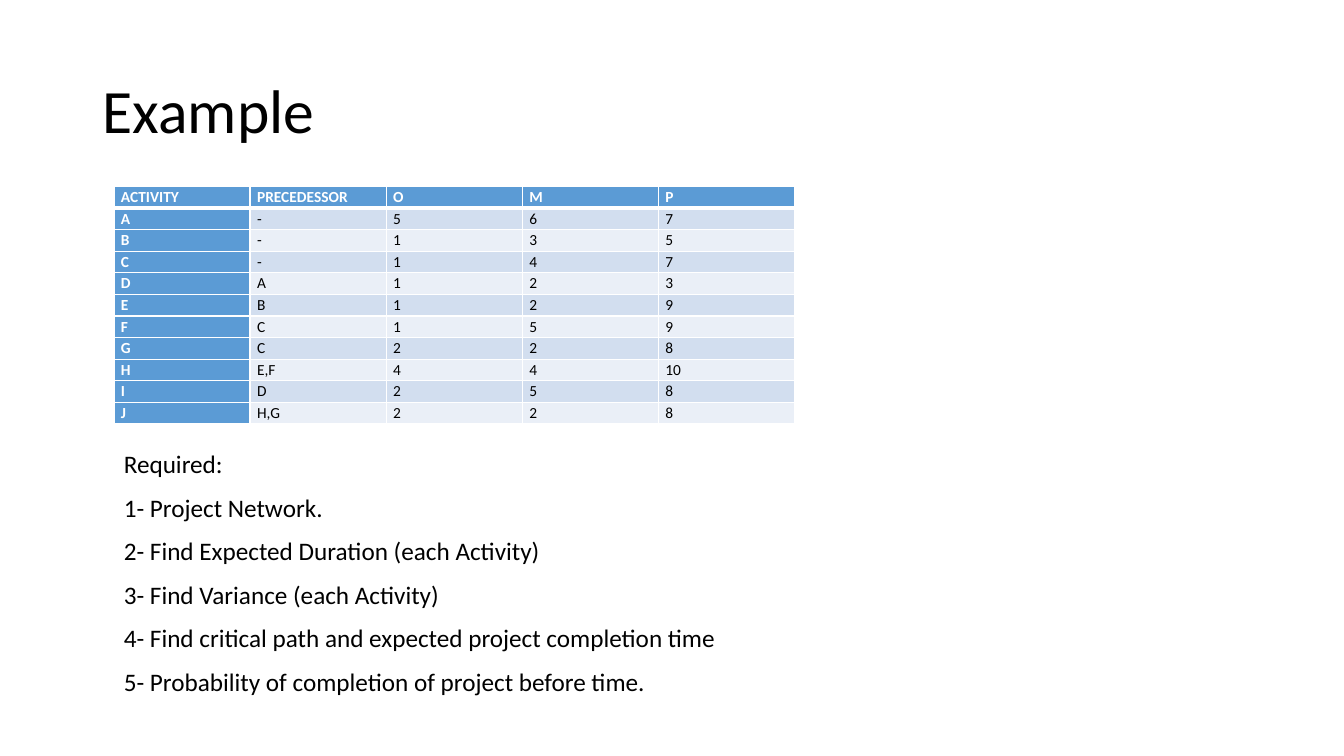
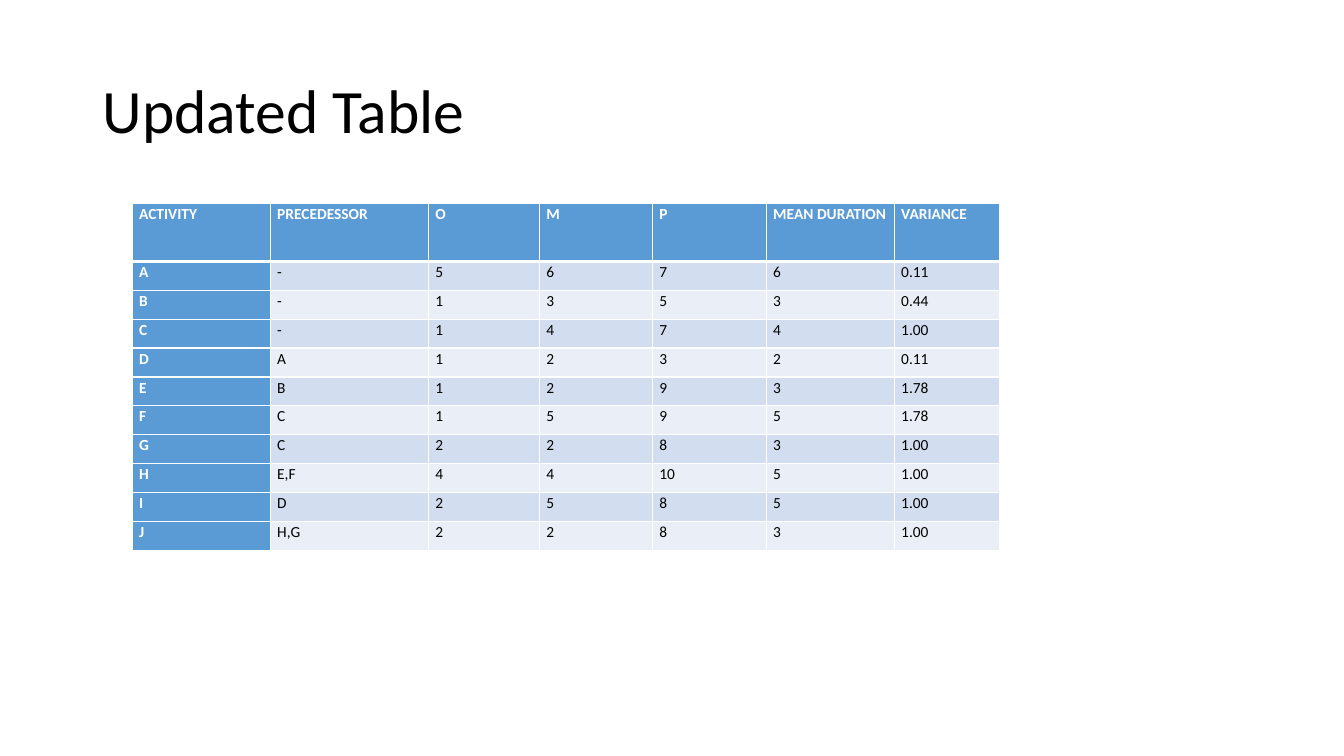
from dataclasses import dataclass

from lxml.etree import SubElement
from pptx import Presentation
from pptx.dml.color import RGBColor
from pptx.enum.text import MSO_ANCHOR, MSO_AUTO_SIZE
from pptx.oxml.ns import qn
from pptx.util import Inches, Pt

FONT = "Calibri"
BLACK, WHITE = "000000", "FFFFFF"
HEADER_BLUE = "5B9BD5"
BANDS = ("D2DEEF", "EAEFF7")
THIN, THICK = 1, 3
LINE_SPACING = 1.07


@dataclass(frozen=True)
class Activity:
    name: str
    predecessor: str
    optimistic: int
    most_likely: int
    pessimistic: int

    def estimates(self) -> list[str]:
        times = (self.optimistic, self.most_likely, self.pessimistic)
        return [self.name, self.predecessor, *map(str, times)]

    def results(self) -> list[str]:
        """Mean duration and variance of the three-point estimate."""
        mean = (self.optimistic + 4 * self.most_likely + self.pessimistic) / 6
        variance = ((self.pessimistic - self.optimistic) / 6) ** 2
        return [f"{mean:.0f}", f"{variance:.2f}"]


@dataclass(frozen=True)
class TableLayout:
    """Place in inches; the header is a whole number of body rows high."""
    left: float
    top: float
    height: float
    columns: tuple[float, ...]
    header_rows: int = 1


ACTIVITIES = (
    Activity("A", "-", 5, 6, 7),
    Activity("B", "-", 1, 3, 5),
    Activity("C", "-", 1, 4, 7),
    Activity("D", "A", 1, 2, 3),
    Activity("E", "B", 1, 2, 9),
    Activity("F", "C", 1, 5, 9),
    Activity("G", "C", 2, 2, 8),
    Activity("H", "E,F", 4, 4, 10),
    Activity("I", "D", 2, 5, 8),
    Activity("J", "H,G", 2, 2, 8),
)
ESTIMATE_HEADINGS = ["ACTIVITY", "PRECEDESSOR", "O", "M", "P"]
RESULT_HEADINGS = ["MEAN DURATION", "VARIANCE"]
ESTIMATE_LAYOUT = TableLayout(1.13, 1.85, 2.36, (1.35,) * 5)
RESULT_LAYOUT = TableLayout(
    1.31, 2.02, 3.44, (1.37, 1.57, 1.1, 1.12, 1.13, 1.27, 1.05), header_rows=2)
REQUIREMENTS = (
    "Required:",
    "1- Project Network.",
    "2- Find Expected Duration (each Activity)",
    "3- Find Variance (each Activity)",
    "4- Find critical path and expected project completion time",
    "5- Probability of completion of project before time.",
)


def color(value: str) -> RGBColor:
    return RGBColor.from_string(value)


def add_run(paragraph, text: str, size: float, font_color: str = BLACK,
            bold: bool = False, spacing: float = LINE_SPACING) -> None:
    paragraph.line_spacing = spacing
    run = paragraph.add_run()
    run.text = text
    run.font.name = FONT
    run.font.size = Pt(size)
    run.font.bold = bold
    run.font.color.rgb = color(font_color)


def add_title_slide(presentation, title: str):
    """Add a blank slide that carries the shared title style."""
    slide = presentation.slides.add_slide(presentation.slide_layouts[6])
    shape = slide.shapes.add_textbox(
        Inches(0.92), Inches(0.4), Inches(11.5), Inches(1.45))
    frame = shape.text_frame
    frame.word_wrap = True
    frame.vertical_anchor = MSO_ANCHOR.MIDDLE
    add_run(frame.paragraphs[0], title, 44, spacing=0.9)
    return slide


def add_borders(cell, top: float, bottom: float) -> None:
    properties = cell._tc.get_or_add_tcPr()
    widths = {"a:lnL": THIN, "a:lnR": THIN, "a:lnT": top, "a:lnB": bottom}
    for tag, width in widths.items():
        line = SubElement(properties, qn(tag), w=str(Pt(width)))
        fill = SubElement(line, qn("a:solidFill"))
        SubElement(fill, qn("a:srgbClr"), val=WHITE)


def style_cell(cell, text: str, row: int, column: int) -> None:
    is_heading = row == 0 or column == 0
    cell.margin_left = cell.margin_right = Inches(0.07)
    cell.margin_top = cell.margin_bottom = 0
    add_borders(cell, top=THICK if row == 1 else THIN,
                bottom=THICK if row == 0 else THIN)
    cell.fill.solid()
    cell.fill.fore_color.rgb = color(
        HEADER_BLUE if is_heading else BANDS[(row - 1) % 2])
    add_run(cell.text_frame.paragraphs[0], text, 11,
            WHITE if is_heading else BLACK, is_heading)


def add_activity_table(slide, layout: TableLayout, rows: list[list[str]]) -> None:
    frame = slide.shapes.add_table(
        len(rows), len(layout.columns), Inches(layout.left), Inches(layout.top),
        Inches(sum(layout.columns)), Inches(layout.height))
    table = frame.table
    table.horz_banding = False
    for column, width in zip(table.columns, layout.columns):
        column.width = Inches(width)
    row_height = layout.height / (len(rows) - 1 + layout.header_rows)
    for row_index, values in enumerate(rows):
        units = layout.header_rows if row_index == 0 else 1
        table.rows[row_index].height = Inches(units * row_height)
        for column_index, text in enumerate(values):
            style_cell(table.cell(row_index, column_index), text,
                       row_index, column_index)


def add_requirements(slide) -> None:
    shape = slide.shapes.add_textbox(
        Inches(1.13), Inches(4.38), Inches(6.14), Inches(3.04))
    frame = shape.text_frame
    frame.word_wrap = False
    frame.auto_size = MSO_AUTO_SIZE.SHAPE_TO_FIT_TEXT
    for index, text in enumerate(REQUIREMENTS):
        paragraph = frame.add_paragraph() if index else frame.paragraphs[0]
        paragraph.space_after = Pt(8)
        add_run(paragraph, text, 18)


def main() -> None:
    presentation = Presentation()
    presentation.slide_width = Inches(13.33)
    presentation.slide_height = Inches(7.5)

    example = add_title_slide(presentation, "Example")
    add_activity_table(example, ESTIMATE_LAYOUT, [
        ESTIMATE_HEADINGS, *(activity.estimates() for activity in ACTIVITIES)])
    add_requirements(example)

    updated = add_title_slide(presentation, "Updated Table")
    add_activity_table(updated, RESULT_LAYOUT, [
        ESTIMATE_HEADINGS + RESULT_HEADINGS,
        *(activity.estimates() + activity.results() for activity in ACTIVITIES)])

    presentation.save("out.pptx")


if __name__ == "__main__":
    main()
